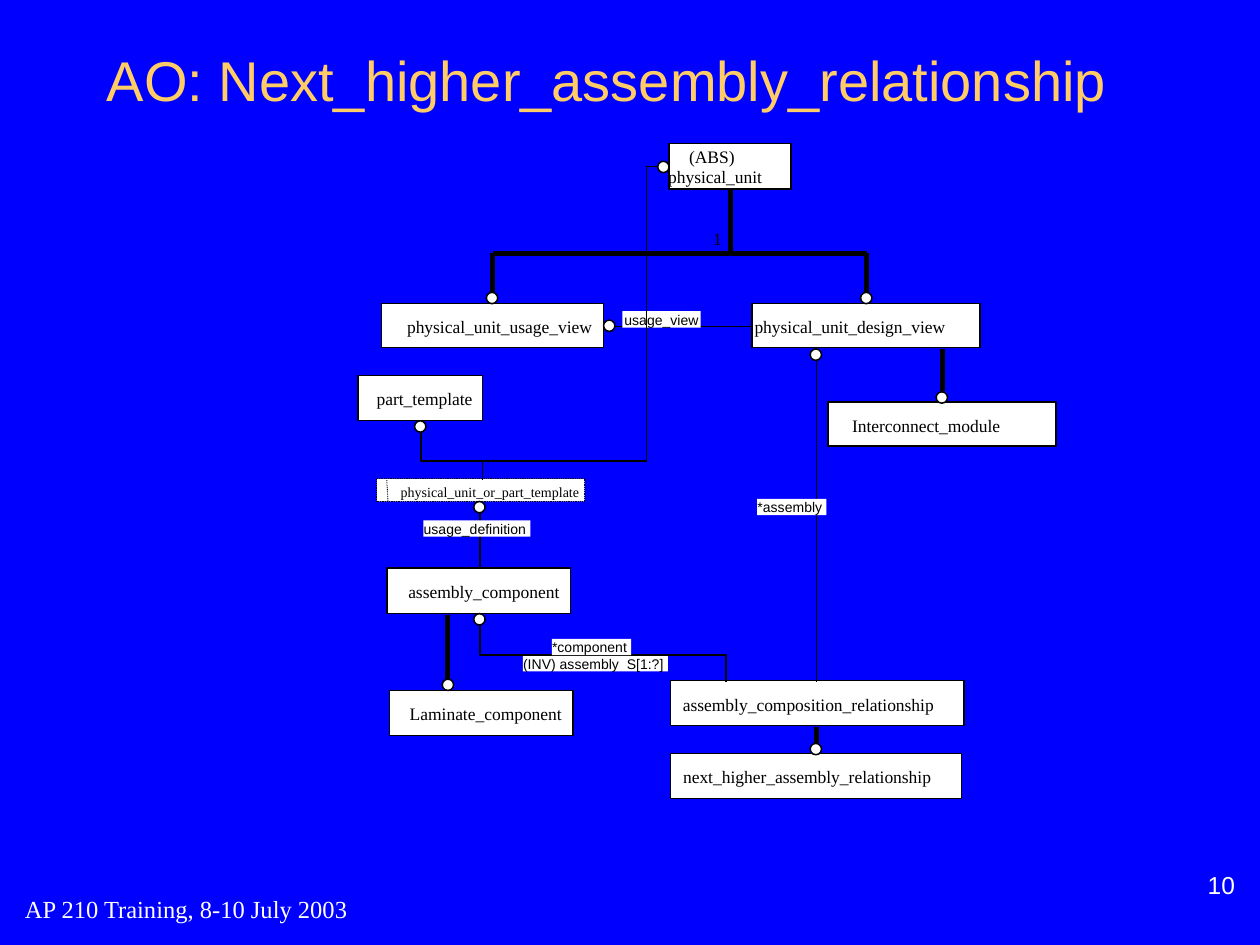
import pptx
import pptx.util
import pptx.dml.color
import pptx.enum.dml
import pptx.enum.shapes
import pptx.enum.text
from pptx.oxml.ns import qn
from lxml import etree

Inches, Pt = pptx.util.Inches, pptx.util.Pt
SHAPE = pptx.enum.shapes.MSO_SHAPE
ALIGN, ANCHOR = pptx.enum.text.PP_ALIGN, pptx.enum.text.MSO_ANCHOR
DOTTED = pptx.enum.dml.MSO_LINE.ROUND_DOT

COLORS = {"back": "0000FF", "title": "FFCC66", "ink": "000000", "paper": "FFFFFF"}
SERIF, SANS = "Times New Roman", "Arial"
THIN, THICK, HAIR = 0.88, 2.75, 0.5
DOT = 0.09
SLACK = 0.1  # spare width on each side of a name, so that it stays on one line

# Entity boxes: left, top, width, height
ENTITIES = [
    (2.84, 2.98, 0.99, 0.36), (5.97, 2.41, 1.81, 0.35),
    (5.31, 1.14, 0.97, 0.36), (3.03, 2.41, 1.76, 0.35),
    (3.07, 4.51, 1.46, 0.36), (5.32, 5.40, 2.33, 0.36),
    (5.32, 5.98, 2.31, 0.36), (3.09, 5.48, 1.46, 0.36),
    (6.57, 3.19, 1.81, 0.35),
]
SELECT_BOX = (2.99, 3.80, 1.65, 0.18)

# Names: text, left, top, width, size
NAMES = [
    ("part_template", 2.99, 3.08, 0.76, 10),
    ("physical_unit_design_view", 5.99, 2.51, 1.51, 10),
    ("(ABS)", 5.47, 1.16, 0.36, 10),
    ("physical_unit", 5.30, 1.32, 0.75, 10),
    ("physical_unit_usage_view", 3.23, 2.51, 1.47, 10),
    ("assembly_component", 3.24, 4.61, 1.20, 10),
    ("physical_unit_or_part_template", 3.18, 3.84, 1.42, 8),
    ("assembly_composition_relationship", 5.42, 5.51, 1.99, 10),
    ("next_higher_assembly_relationship", 5.42, 6.08, 1.97, 10),
    ("1", 5.66, 1.81, 0.07, 10),
    ("Laminate_component", 3.25, 5.58, 1.21, 10),
    ("Interconnect_module", 6.76, 3.29, 1.18, 10),
]

# Each layer: lines (width, dash, points), then the labels lying over them
LAYERS = [
    ([(THIN, None, [(5.97, 2.59), (4.88, 2.59)])],
     [("usage_view ", 4.94, 2.47, 0.62),
      ("(INV) assembly  S[1:?] ", 4.15, 5.20, 1.15)]),
    ([(THIN, None, [(3.81, 4.52), (3.81, 4.07)]),
      (HAIR, DOTTED, [(3.07, 3.81), (3.08, 3.99)]),
      (THIN, None, [(3.83, 3.81), (3.83, 3.66), (5.13, 3.66)]),
      (THIN, None, [(5.13, 1.32), (5.13, 3.66), (3.34, 3.66), (3.34, 3.43)]),
      (THIN, None, [(5.13, 1.32), (5.22, 1.32)]),
      (THIN, None, [(6.48, 5.41), (6.48, 2.86)]),
      (THIN, None, [(5.76, 5.41), (5.76, 5.20), (3.81, 5.20), (3.81, 4.96)]),
      (THICK, None, [(5.80, 1.50), (5.80, 2.01)]),
      (THICK, None, [(3.91, 2.01), (6.88, 2.01)]),
      (THICK, None, [(6.88, 2.01), (6.88, 2.32)]),
      (THICK, None, [(3.91, 2.01), (3.91, 2.32)]),
      (THICK, None, [(6.48, 5.77), (6.48, 5.90)]),
      (THICK, None, [(3.55, 4.88), (3.55, 5.39)]),
      (THICK, None, [(7.48, 2.77), (7.48, 3.10)])],
     [("usage_definition ", 3.36, 4.13, 0.85),
      ("*assembly ", 6.01, 3.96, 0.55),
      ("*component ", 4.38, 5.07, 0.63)]),
]

# Left and top of the circles that end the relations
DOTS = [
    (4.79, 2.54), (3.76, 3.98), (3.29, 3.34), (5.22, 1.28), (6.43, 2.77),
    (3.76, 4.87), (6.83, 2.32), (3.86, 2.32), (6.43, 5.90), (3.51, 5.39),
    (7.43, 3.11),
]

# Page texts: text, place, font, size, colour, alignment, anchor, top/bottom inset
PAGE_TEXTS = [
    ("AO: Next_higher_assembly_relationship", (0.75, 0, 8.5, 1.25),
     SANS, 32, "title", ALIGN.LEFT, ANCHOR.MIDDLE, 0.05),
    ("AP 210 Training, 8-10 July 2003", (0.1, 6.96, 4.67, 0.5),
     SERIF, 14, "paper", ALIGN.LEFT, ANCHOR.MIDDLE, 0.05),
    ("10", (7.85, 6.72, 2.05, 0.42),
     SANS, 14, "paper", ALIGN.RIGHT, ANCHOR.BOTTOM, 0),
]


def rgb(name):
    return pptx.dml.color.RGBColor.from_string(COLORS[name])


def fill_solid(target, name):
    target.fill.solid()
    target.fill.fore_color.rgb = rgb(name)


def set_line(shape, width, dash=None):
    shape.line.color.rgb = rgb("ink")
    shape.line.width = Pt(width)
    if dash:
        shape.line.dash_style = dash


def add_outlined(page, kind, place, width=THIN, dash=None):
    shape = page.shapes.add_shape(kind, *map(Inches, place))
    shape.shadow.inherit = False
    fill_solid(shape, "paper")
    set_line(shape, width, dash)


def add_text(page, text, place, font, size, color, align, anchor, insets, wrap):
    box = page.shapes.add_textbox(*map(Inches, place))
    frame = box.text_frame
    frame.word_wrap = wrap
    frame.vertical_anchor = anchor
    frame.margin_left = frame.margin_right = Inches(insets[0])
    frame.margin_top = frame.margin_bottom = Inches(insets[1])
    para = frame.paragraphs[0]
    para.text = text
    para.alignment = align
    para.font.name, para.font.size = font, Pt(size)
    para.font.color.rgb = rgb(color)
    return box


def add_caption(page, text, left, top, width, size, font, slack=0):
    height = 0.17 if size == 10 else 0.13
    place = (left - slack, top, width + 2 * slack, height)
    return add_text(page, text, place, font, size, "ink",
                    ALIGN.CENTER, ANCHOR.TOP, (0, 0), False)


def add_path(page, width, dash, points):
    points = [(Inches(x), Inches(y)) for x, y in points]
    if len(points) == 2:
        path = page.shapes.add_connector(
            pptx.enum.shapes.MSO_CONNECTOR.STRAIGHT, *points[0], *points[1])
        set_line(path, width, dash)
        etree.SubElement(path._element.spPr, qn("a:effectLst"))
    else:
        builder = page.shapes.build_freeform(*points[0])
        builder.add_line_segments(points[1:], close=False)
        path = builder.convert_to_shape()
        path.shadow.inherit = False
        path.fill.background()
        set_line(path, width, dash)


def main():
    deck = pptx.Presentation()
    deck.slide_width, deck.slide_height = Inches(10), Inches(7.5)
    page = deck.slides.add_slide(deck.slide_layouts[6])
    fill_solid(page.background, "back")

    # Title, footer and page number
    for text, place, font, size, color, align, anchor, inset in PAGE_TEXTS:
        add_text(page, text, place, font, size, color, align, anchor,
                 (0.1, inset), True)

    # Boxes
    for place in ENTITIES:
        add_outlined(page, SHAPE.RECTANGLE, place)
    add_outlined(page, SHAPE.RECTANGLE, SELECT_BOX, HAIR, DOTTED)

    # Relations and their labels
    for lines, labels in LAYERS:
        for line in lines:
            add_path(page, *line)
        for label in labels:
            fill_solid(add_caption(page, *label, 8, SANS), "paper")

    # Relation ends and names
    for left, top in DOTS:
        add_outlined(page, SHAPE.OVAL, (left, top, DOT, DOT))
    for name in NAMES:
        add_caption(page, *name, SERIF, SLACK)

    deck.save("out.pptx")


if __name__ == "__main__":
    main()
